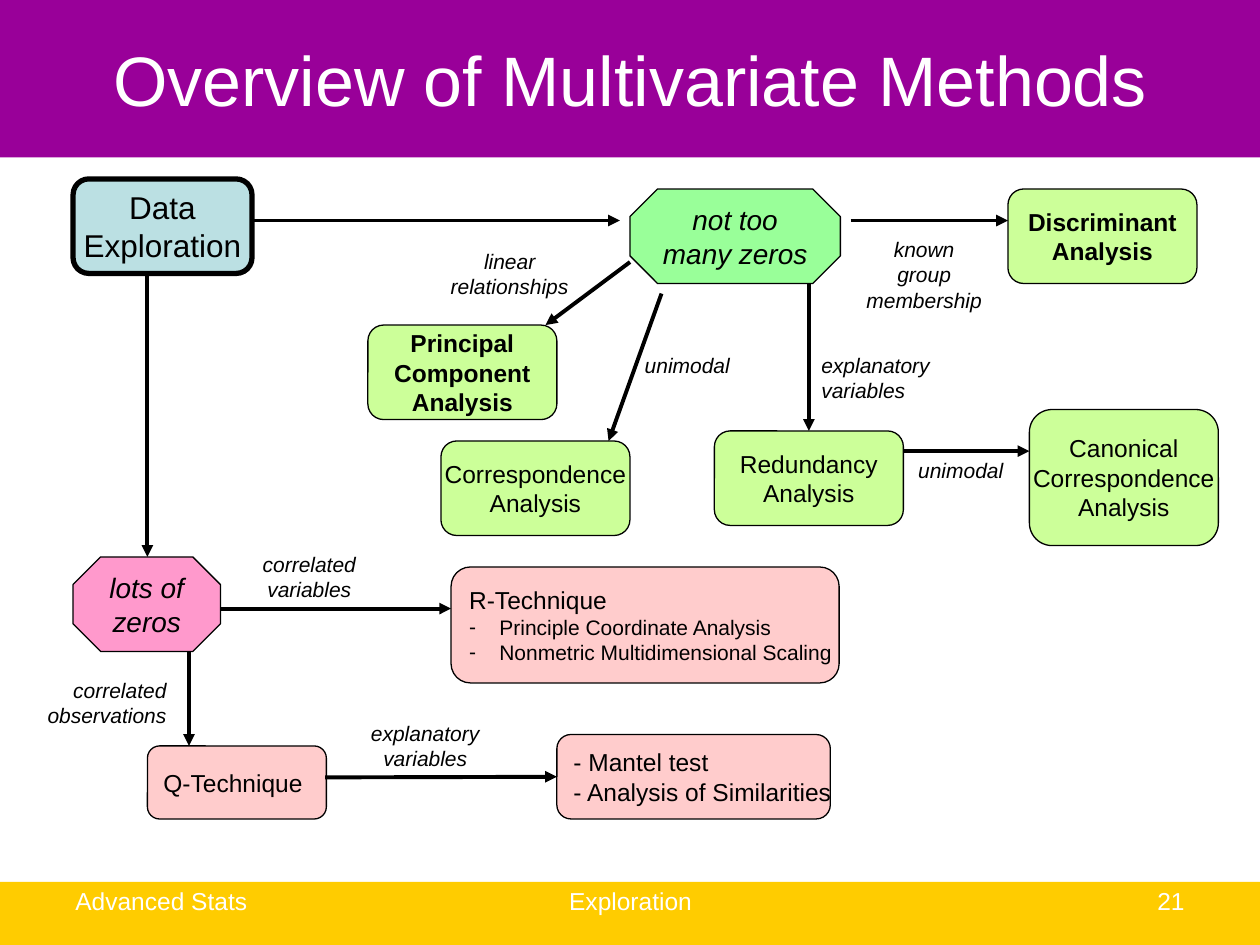
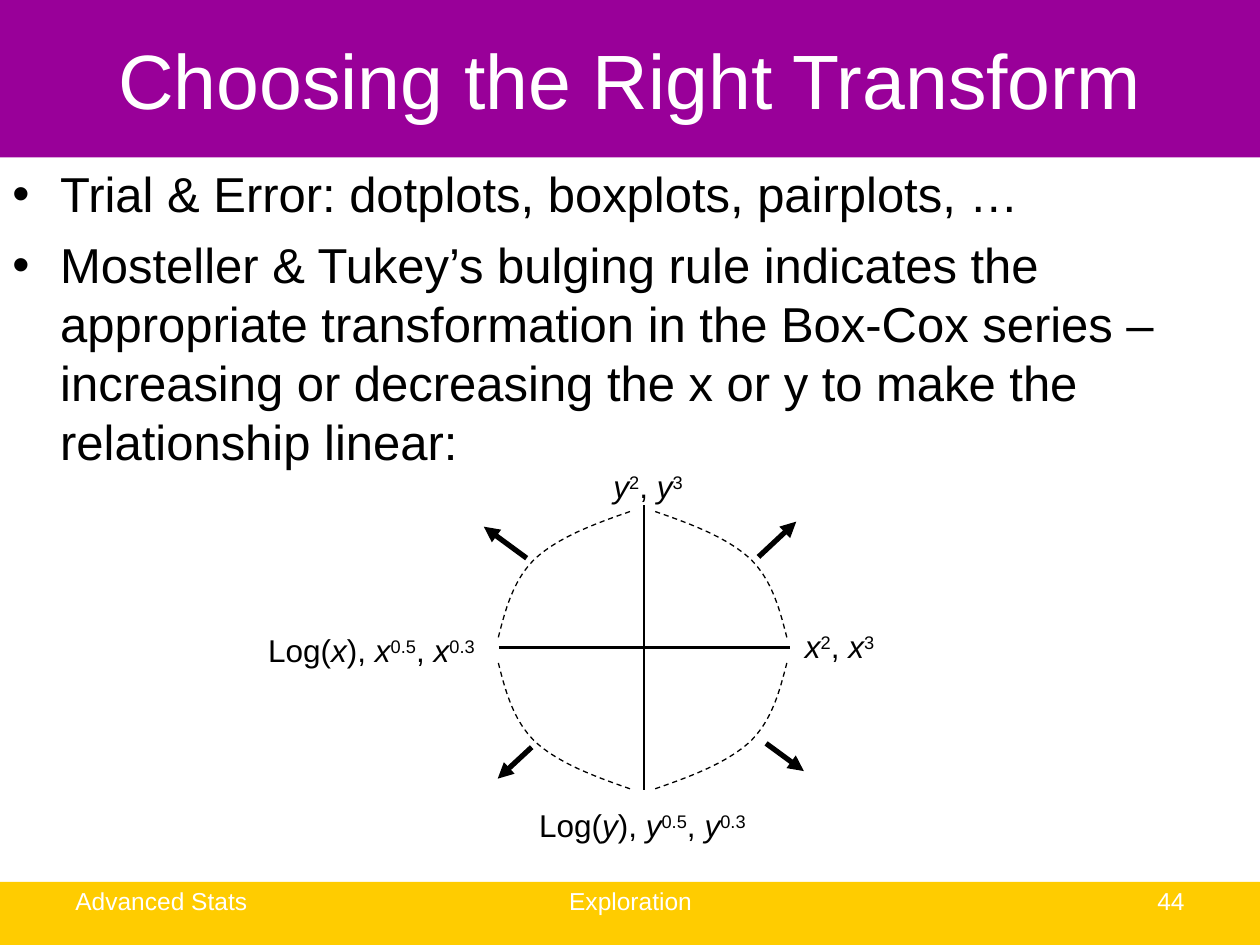
from itertools import product

from lxml import etree
from pptx import Presentation
from pptx.dml.color import RGBColor
from pptx.enum import dml, shapes, text
from pptx.oxml import ns
from pptx.util import Inches, Pt

PURPLE = RGBColor(0x99, 0x00, 0x99)
GOLD = RGBColor(0xFF, 0xCC, 0x00)
WHITE = RGBColor(0xFF, 0xFF, 0xFF)
BLACK = RGBColor(0x00, 0x00, 0x00)
AQUA = RGBColor(0xBB, 0xE0, 0xE3)
MINT = RGBColor(0x99, 0xFF, 0x99)
PINK = RGBColor(0xFF, 0x99, 0xCC)
LIME = RGBColor(0xCC, 0xFF, 0x99)
ROSE = RGBColor(0xFF, 0xCC, 0xCC)

FONT = "Arial"
LEFT, CENTER, RIGHT = text.PP_ALIGN.LEFT, text.PP_ALIGN.CENTER, text.PP_ALIGN.RIGHT
RECT = shapes.MSO_SHAPE.RECTANGLE
ROUNDED = shapes.MSO_SHAPE.ROUNDED_RECTANGLE
OCTAGON = shapes.MSO_SHAPE.OCTAGON
TOP_SIDE, LEFT_SIDE = 0, 1


def bezier(start, first, second, end, steps=10):
    for step in range(1, steps + 1):
        t = step / steps
        weights = ((1 - t) ** 3, 3 * t * (1 - t) ** 2, 3 * t * t * (1 - t), t ** 3)
        yield tuple(
            sum(w * point[axis] for w, point in zip(weights, (start, first, second, end)))
            for axis in (0, 1)
        )


class Deck:
    def __init__(self):
        self.presentation = Presentation()
        self.presentation.slide_width = Inches(10)
        self.presentation.slide_height = Inches(7.5)
        self.slide = None

    def new_slide(self, title, title_size, number):
        self.slide = self.presentation.slides.add_slide(self.presentation.slide_layouts[6])
        self.box((0, 7, 10, 0.5), GOLD, shape=RECT, border=None)
        self.box((0, 0, 10, 1.25), PURPLE, shape=RECT, border=None)
        for left, width, words, align in (
            (0.5, 2.33, "Advanced Stats", LEFT),
            (3.42, 3.17, "Exploration", CENTER),
            (7.17, 2.33, number, RIGHT),
        ):
            self.label((left, 6.98, width, 0.52), words, 14, align, WHITE)
        heading = self.label((0.5, 0, 9, 1.25), title, title_size, CENTER, WHITE)
        heading.vertical_anchor = text.MSO_ANCHOR.MIDDLE

    def format(self, paragraph, size, color=BLACK, align=LEFT, bold=False, italic=False):
        paragraph.alignment = align
        for run in paragraph.runs:
            font = run.font
            font.name, font.size = FONT, Pt(size)
            font.bold, font.italic = bold, italic
            font.color.rgb = color

    def bullet(self, paragraph, mark, indent):
        properties = paragraph._p.get_or_add_pPr()
        properties.set("marL", str(Inches(indent)))
        properties.set("indent", str(-Inches(indent)))
        etree.SubElement(properties, ns.qn("a:buFont")).set("typeface", FONT)
        etree.SubElement(properties, ns.qn("a:buChar")).set("char", mark)

    def label(self, place, words, size, align=CENTER, color=BLACK, italic=False):
        frame = self.slide.shapes.add_textbox(*map(Inches, place)).text_frame
        frame.word_wrap = True
        frame.text = words
        for paragraph in frame.paragraphs:
            self.format(paragraph, size, color, align, italic=italic)
        return frame

    def note(self, place, words, align=CENTER):
        self.label(place, words, 12, align, italic=True)

    def box(self, place, fill, words="", size=14, shape=ROUNDED, border=0.75,
            align=CENTER, bold=False, italic=False):
        box = self.slide.shapes.add_shape(shape, *map(Inches, place))
        box.shadow.inherit = False
        box.fill.solid()
        box.fill.fore_color.rgb = fill
        if border:
            box.line.color.rgb = BLACK
            box.line.width = Pt(border)
        else:
            box.line.fill.background()
        if words:
            frame = box.text_frame
            frame.word_wrap = False
            frame.vertical_anchor = text.MSO_ANCHOR.MIDDLE
            frame.text = words
            for paragraph in frame.paragraphs:
                self.format(paragraph, size, BLACK, align, bold, italic)
        return box

    def line(self, start, end, width=2.25, arrow=True, target=None, side=None):
        line = self.slide.shapes.add_connector(
            shapes.MSO_CONNECTOR.STRAIGHT, *map(Inches, start + end))
        line.line.color.rgb = BLACK
        line.line.width = Pt(width)
        if arrow:
            outline = line.line._get_or_add_ln()
            etree.SubElement(outline, ns.qn("a:tailEnd")).set("type", "triangle")
        etree.SubElement(line._element.spPr, ns.qn("a:effectLst"))
        if target is not None:
            line.end_connect(target, side)

    def dashed_curve(self, points):
        vertices = [points[0]]
        for i in range(0, len(points) - 1, 3):
            vertices.extend(bezier(*points[i:i + 4]))
        emu = [(Inches(x), Inches(y)) for x, y in vertices]
        builder = self.slide.shapes.build_freeform(*emu[0])
        builder.add_line_segments(emu[1:], close=False)
        curve = builder.convert_to_shape()
        curve.shadow.inherit = False
        curve.fill.background()
        curve.line.color.rgb = BLACK
        curve.line.width = Pt(0.75)
        curve.line.dash_style = dml.MSO_LINE.DASH

    def powers(self, place, variable, exponents, log=False):
        frame = self.label(place, "", 18)
        frame.word_wrap = False
        paragraph = frame.paragraphs[0]
        pieces = [("Log(", ""), (variable, "i"), ("), ", "")] if log else []
        for i, exponent in enumerate(exponents):
            if i:
                pieces.append((", ", ""))
            pieces += [(variable, "i"), (exponent, "sup")]
        for words, _ in pieces:
            paragraph.add_run().text = words
        self.format(paragraph, 18)
        for run, (_, style) in zip(paragraph.runs, pieces):
            run.font.italic = style == "i"
            if style == "sup":
                run._r.get_or_add_rPr().set("baseline", "30000")


def methods_overview(deck):
    deck.new_slide("Overview of Multivariate Methods", 40, "21")

    deck.box((0.58, 1.42, 1.42, 0.75), AQUA, "Data\nExploration", 18, border=3)
    deck.box((5, 1.5, 1.67, 0.75), MINT, "not too\nmany zeros", 16, OCTAGON, italic=True)
    deck.box((0.58, 4.42, 1.17, 0.75), PINK, "lots of\nzeros", 16, OCTAGON, italic=True)

    deck.box((8, 1.5, 1.5, 0.75), LIME, "Discriminant\nAnalysis", bold=True)
    deck.box((2.92, 2.58, 1.5, 0.75), LIME, "Principal\nComponent\nAnalysis", bold=True)
    deck.box((3.5, 3.5, 1.5, 0.75), LIME, "Correspondence\nAnalysis")
    redundancy = deck.box((5.67, 3.42, 1.5, 0.75), LIME, "Redundancy\nAnalysis")
    deck.box((8.17, 3.25, 1.5, 1.08), LIME, "Canonical\nCorrespondence\nAnalysis")

    r_technique = deck.box(
        (3.58, 4.5, 3.08, 0.92), ROSE,
        "R-Technique\nPrinciple Coordinate Analysis\nNonmetric Multidimensional Scaling",
        align=LEFT)
    for method in r_technique.text_frame.paragraphs[1:]:
        deck.bullet(method, "-", 0.24)
        deck.format(method, 12)
    deck.box((1.17, 5.92, 1.42, 0.58), ROSE, "Q-Technique", align=LEFT)
    similarity_tests = deck.box((4.42, 5.83, 2.17, 0.67), ROSE,
                                "- Mantel test\n- Analysis of Similarities", align=LEFT)

    for start, end in (
        ((2, 1.75), (4.92, 1.75)),
        ((6.75, 1.75), (8, 1.75)),
        ((5, 2.08), (4.33, 2.58)),
        ((5.25, 2.33), (4.83, 3.5)),
        ((7.17, 3.58), (8.17, 3.58)),
        ((1.17, 2.17), (1.17, 4.42)),
        ((1.75, 4.83), (3.58, 4.83)),
        ((1.5, 5.17), (1.5, 5.92)),
    ):
        deck.line(start, end)
    deck.line((6.42, 2.25), (6.42, 3.42), target=redundancy, side=TOP_SIDE)
    deck.line((2.58, 6.17), (4.42, 6.17), target=similarity_tests, side=LEFT_SIDE)

    deck.note((6.67, 1.83, 1.33, 0.7), "known\ngroup\nmembership")
    deck.note((3.42, 1.92, 1.25, 0.5), "linear\nrelationships")
    deck.note((4.83, 2.75, 1.25, 0.3), "unimodal")
    deck.note((6.42, 2.75, 1.25, 0.5), "explanatory\nvariables", LEFT)
    deck.note((7, 3.58, 1.25, 0.3), "unimodal")
    deck.note((1.83, 4.33, 1.25, 0.5), "correlated variables")
    deck.note((2.75, 5.67, 1.25, 0.5), "explanatory\nvariables")
    deck.note((0.17, 5.33, 1.25, 0.5), "correlated observations", RIGHT)


def transform_choice(deck):
    deck.new_slide("Choosing the Right Transform", 44, "44")

    advice = deck.label(
        (0, 1.25, 10, 5.75),
        "Trial & Error: dotplots, boxplots, pairplots, …\n"
        "Mosteller & Tukey’s bulging rule indicates the appropriate transformation "
        "in the Box-Cox series – increasing or decreasing the x or y to make the "
        "relationship linear:",
        28, LEFT)
    for paragraph in advice.paragraphs:
        deck.bullet(paragraph, "•", 0.38)
    advice.paragraphs[1].space_before = Pt(7)

    deck.line((5.11, 4.01), (5.11, 6.27), 1.5, arrow=False)
    deck.line((3.96, 5.14), (6.27, 5.14), 1.5, arrow=False)

    center_x, center_y = 5.1, 5.16
    bulge = ((0.1, 1.1), (0.39, 1), (0.68, 0.89), (0.86, 0.72),
             (1.03, 0.55), (1.09, 0.32), (1.15, 0.08))
    for across, down in product((1, -1), repeat=2):
        deck.dashed_curve([(center_x + across * x, center_y + down * y) for x, y in bulge])

    for start, end in (
        ((6.08, 5.9), (6.38, 6.12)),
        ((6.02, 4.42), (6.32, 4.14)),
        ((4.18, 4.43), (3.84, 4.18)),
        ((4.22, 5.93), (3.95, 6.18)),
    ):
        deck.line(start, end, 3)

    deck.powers((4.77, 3.66, 0.75, 0.4), "y", ("2", "3"))
    deck.powers((6.29, 4.93, 0.75, 0.4), "x", ("2", "3"))
    deck.powers((4.18, 6.35, 1.84, 0.4), "y", ("0.5", "0.3"), log=True)
    deck.powers((2.03, 4.96, 1.84, 0.4), "x", ("0.5", "0.3"), log=True)


def main():
    deck = Deck()
    methods_overview(deck)
    transform_choice(deck)
    deck.presentation.save("out.pptx")


if __name__ == "__main__":
    main()
